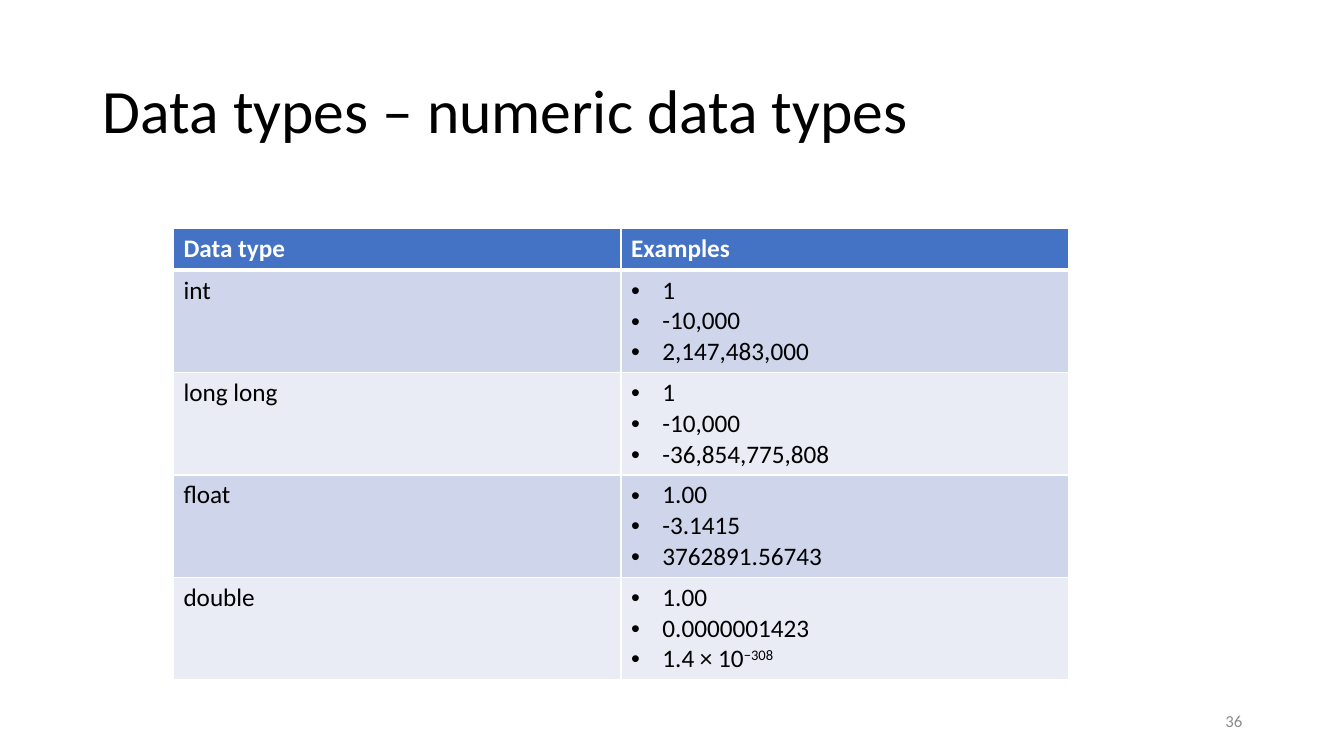
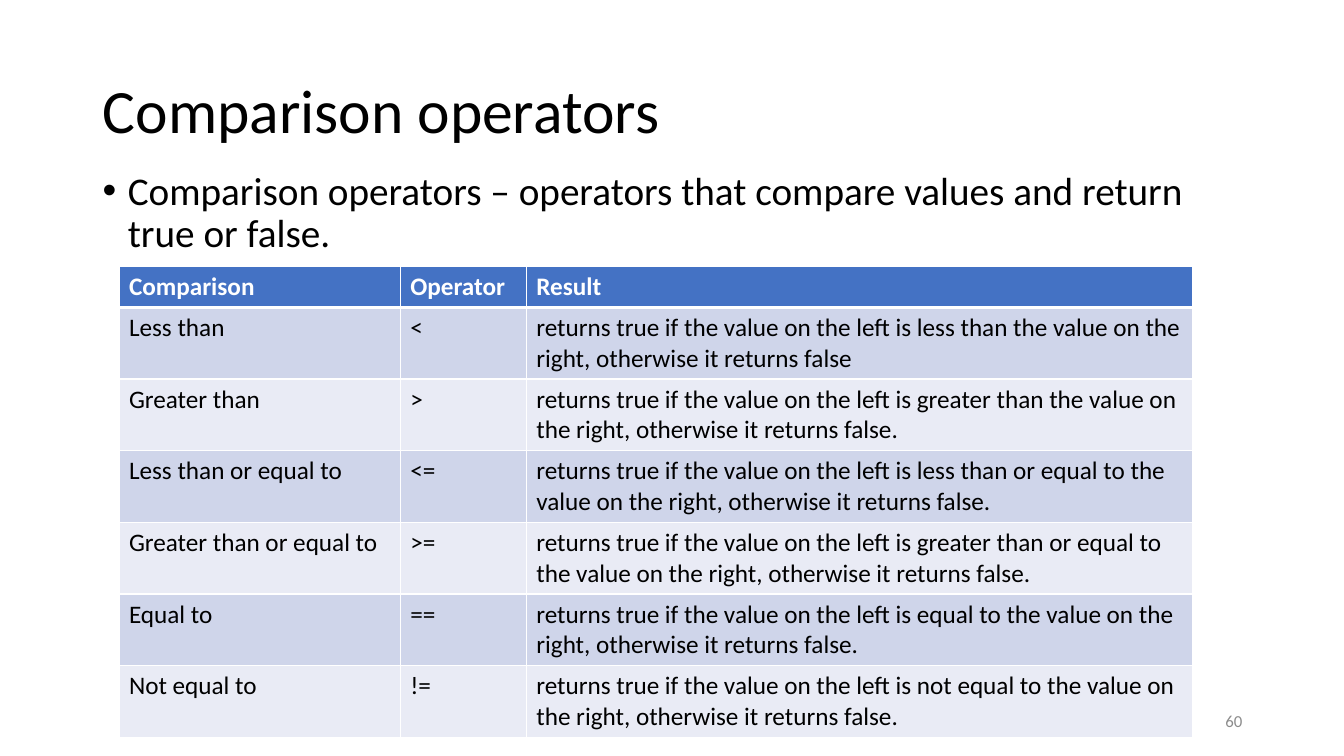
from lxml import etree
from pptx import Presentation
from pptx.dml.color import RGBColor
from pptx.enum.text import MSO_ANCHOR, MSO_AUTO_SIZE, PP_ALIGN
from pptx.oxml.ns import qn
from pptx.util import Inches, Pt

LEFT, RIGHT = PP_ALIGN.LEFT, PP_ALIGN.RIGHT
TOP, MIDDLE = MSO_ANCHOR.TOP, MSO_ANCHOR.MIDDLE
NO_AUTOFIT = MSO_AUTO_SIZE.NONE
TITLE_ONLY = 5

FONT = "Calibri"
COLORS = {
    "text": "000000",
    "number": "8C8C8C",
    "header": "4472C4",
    "header_text": "FFFFFF",
    "border": "FFFFFF",
    "band_dark": "CFD5EA",
    "band_light": "E9EBF5",
}
HEADER_HEIGHT = 0.41
MARGIN, CONTENT_WIDTH = 0.92, 11.5

NUMERIC_TYPES = [
    ["Data type", "Examples"],
    ["int", ["1", "-10,000", "2,147,483,000"]],
    ["long long", ["1", "-10,000", "-36,854,775,808"]],
    ["float", ["1.00", "-3.1415", "3762891.56743"]],
    ["double", ["1.00", "0.0000001423", "1.4 × 10^−308"]],
]

RESULT = "returns true if the value on the left is {} the value on the right, otherwise it returns false{}"
COMPARISONS = [
    # name, operator, phrase in the result, closing mark
    ("Less than", "<", "less than", ""),
    ("Greater than", ">", "greater than", "."),
    ("Less than or equal to", "<=", "less than or equal to", "."),
    ("Greater than or equal to", ">=", "greater than or equal to", "."),
    ("Equal to", "==", "equal to", "."),
    ("Not equal to", "!=", "not equal to", "."),
]


class Deck:
    """Holds the shared style and the current slide."""

    def __init__(self):
        self.presentation = Presentation()
        self.presentation.slide_width = Inches(13.33)
        self.presentation.slide_height = Inches(7.5)
        self.slide = None

    def add_slide(self, title, number):
        layout = self.presentation.slide_layouts[TITLE_ONLY]
        self.slide = self.presentation.slides.add_slide(layout)
        shape = self.slide.shapes.title
        shape.left, shape.top = Inches(MARGIN), Inches(0.4)
        shape.width, shape.height = Inches(CONTENT_WIDTH), Inches(1.45)
        paragraph = self.set_up_frame(shape.text_frame, MIDDLE)
        paragraph.alignment = LEFT
        paragraph.line_spacing = 0.9
        self.add_run(paragraph, title, 44)
        # Slide number
        paragraph = self.add_text_box(9.42, 6.95, 3, 0.4, MIDDLE)
        paragraph.alignment = RIGHT
        self.add_run(paragraph, str(number), 12, "number")

    def set_up_frame(self, frame, anchor):
        frame.word_wrap = True
        frame.auto_size = NO_AUTOFIT
        frame.vertical_anchor = anchor
        return frame.paragraphs[0]

    def add_text_box(self, left, top, width, height, anchor=TOP):
        shape = self.slide.shapes.add_textbox(
            Inches(left), Inches(top), Inches(width), Inches(height))
        return self.set_up_frame(shape.text_frame, anchor)

    def add_run(self, paragraph, text, size, color="text", bold=False):
        run = paragraph.add_run()
        run.text = text
        run.font.name = FONT
        run.font.size = Pt(size)
        run.font.bold = bold
        run.font.color.rgb = RGBColor.from_string(COLORS[color])
        return run

    def set_bullet(self, paragraph, indent):
        properties = paragraph._p.get_or_add_pPr()
        properties.set("marL", str(Inches(indent)))
        properties.set("indent", str(-Inches(indent)))
        etree.SubElement(properties, qn("a:buFont")).set("typeface", "Arial")
        etree.SubElement(properties, qn("a:buChar")).set("char", "•")

    def add_bullet_text(self, text):
        paragraph = self.add_text_box(MARGIN, 1.65, CONTENT_WIDTH, 0.95)
        paragraph.line_spacing = 0.9
        paragraph.space_before = Pt(10)
        self.set_bullet(paragraph, 0.25)
        self.add_run(paragraph, text, 28)

    def add_table(self, left, top, column_widths, row_height, rows):
        height = HEADER_HEIGHT + row_height * (len(rows) - 1)
        table = self.slide.shapes.add_table(
            len(rows), len(column_widths), Inches(left), Inches(top),
            Inches(sum(column_widths)), Inches(height)).table
        for column, width in zip(table.columns, column_widths):
            column.width = Inches(width)
        for row_index, row in enumerate(rows):
            table.rows[row_index].height = Inches(row_height if row_index else HEADER_HEIGHT)
            for column_index, content in enumerate(row):
                self.fill_cell(table.cell(row_index, column_index), row_index, content)

    def fill_cell(self, cell, row_index, content):
        is_header = row_index == 0
        band = "band_dark" if row_index % 2 else "band_light"
        cell.fill.solid()
        cell.fill.fore_color.rgb = RGBColor.from_string(COLORS["header" if is_header else band])
        self.set_borders(cell, row_index)
        # A list becomes bullets; text after ^ is raised
        is_list = isinstance(content, list)
        frame = cell.text_frame
        for index, text in enumerate(content if is_list else [content]):
            paragraph = frame.add_paragraph() if index else frame.paragraphs[0]
            if is_list:
                self.set_bullet(paragraph, 0.31)
            base, _, exponent = text.partition("^")
            self.add_run(paragraph, base, 18, "header_text" if is_header else "text", is_header)
            if exponent:
                run = self.add_run(paragraph, exponent, 18)
                run._r.get_or_add_rPr().set("baseline", "30000")

    def set_borders(self, cell, row_index):
        # The line between header and body is thicker
        widths = {"L": 1, "R": 1, "T": 3 if row_index == 1 else 1, "B": 1 if row_index else 3}
        properties = cell._tc.get_or_add_tcPr()
        for position, (side, width) in enumerate(widths.items()):
            line = etree.Element(qn(f"a:ln{side}"), w=str(Pt(width)))
            fill = etree.SubElement(line, qn("a:solidFill"))
            etree.SubElement(fill, qn("a:srgbClr")).set("val", COLORS["border"])
            properties.insert(position, line)


def main():
    deck = Deck()

    # Numeric data types
    deck.add_slide("Data types – numeric data types", 36)
    deck.add_table(1.72, 2.27, [4.44, 4.44], 1, NUMERIC_TYPES)

    # Comparison operators
    deck.add_slide("Comparison operators", 60)
    deck.add_bullet_text(
        "Comparison operators – operators that compare values and return true or false.")
    rows = [["Comparison", "Operator", "Result"]]
    for name, operator, phrase, mark in COMPARISONS:
        rows.append([name, operator, RESULT.format(phrase, mark)])
    deck.add_table(1.18, 2.64, [2.79, 1.25, 6.61], 0.7, rows)

    deck.presentation.save("out.pptx")


if __name__ == "__main__":
    main()
